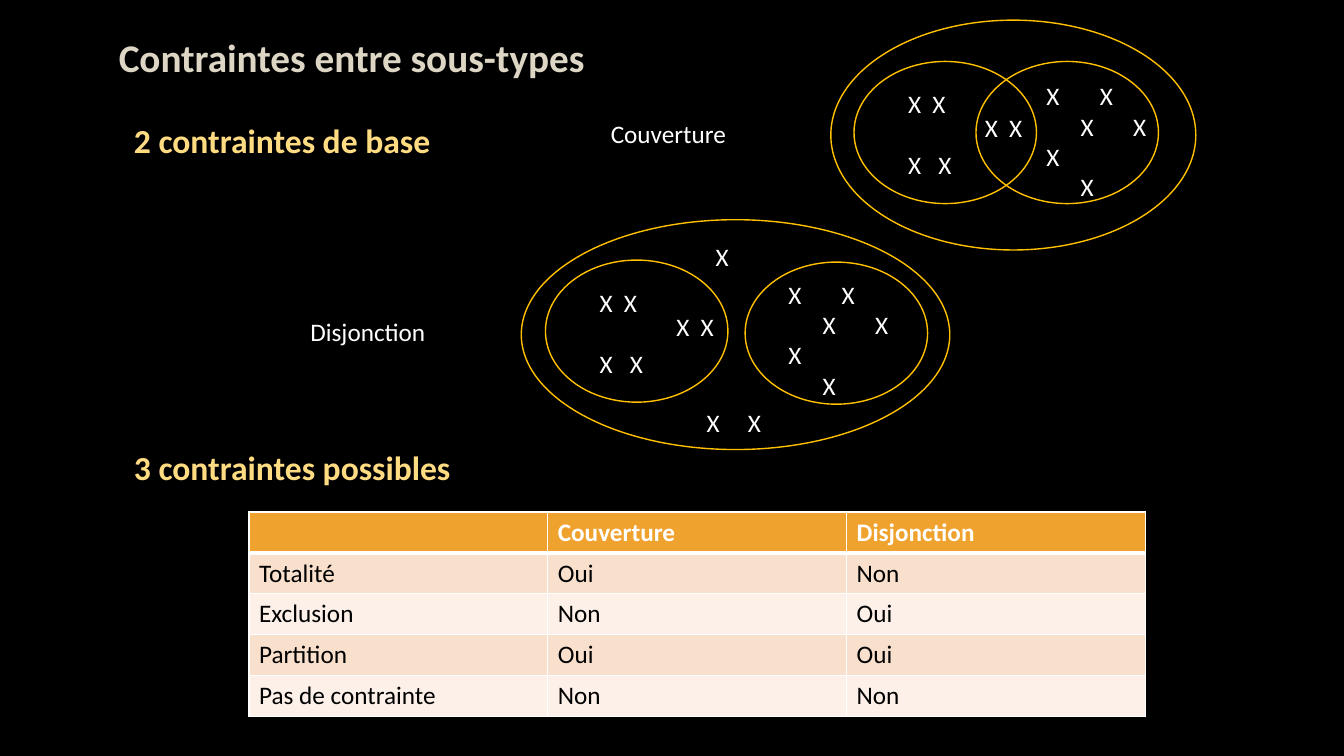
import pptx
import pptx.util
import pptx.dml.color
import pptx.enum.shapes
import pptx.enum.text
import pptx.oxml.ns
from lxml import etree

Inches, Pt = pptx.util.Inches, pptx.util.Pt
FONT = "Calibri"
WHITE, BLACK, GOLD, PALE_GOLD, SAND = "FFFFFF", "000000", "FFC000", "FFDB82", "DDD6C4"
HEADER_FILL, BAND_FILLS = "F0A22E", ("F9E0CD", "FCF0E8")

# Content: text, place, format
LABELS = [
    ("Contraintes entre sous-types", (1.08, 0.37, 9.76, 0.5),
     dict(size=28, color=SAND, bold=True, line_spacing=0.8, before=10)),
    ("2 contraintes de base", (1.23, 1.14, 4.09, 0.5), dict(size=24, color=PALE_GOLD, bold=True)),
    ("3 contraintes possibles", (1.23, 4.38, 4.09, 0.5), dict(size=24, color=PALE_GOLD, bold=True)),
    ("Disjonction", (2.98, 3.09, 1.39, 0.4), dict(wrap=False)),
    ("Couverture", (5.96, 1.12, 1.37, 0.4), dict(wrap=False)),
]

# Sets: outer ellipse, left and right subsets, marks of the right subset
DIAGRAMS = [
    dict(outer=(8.24, 0.2, 3.62, 2.28), left=(8.47, 0.61), right=(9.68, 0.61), right_marks=(10.28, 0.75)),
    dict(outer=(5.17, 2.18, 4.25, 2.28), left=(5.41, 2.58), right=(7.39, 2.6), right_marks=(7.72, 2.72)),
]
SUBSET_SIZE = (1.81, 1.41)

# Mark groups: text, tab stops of each line
FOUR_MARKS = [("X\tX", [0.24]), ("X\tX", [0.3])]
PAIR = [("X\tX", [0.24])]
SIX_MARKS = [("X\tX", [0.53]), ("\tX\tX", [0.34, 0.86]), ("X", []), ("\tX", [0.34])]
OUTSIDE_MARKS = [
    ([("X", [])], (7, 2.34, 0.49, 0.42)),
    ([("X\tX", [0.41])], (6.91, 3.99, 0.93, 0.4)),
]

TABLE_PLACE = (2.47, 5.08, 8.89, 2.03)
TABLE = [
    ("", "Couverture", "Disjonction"),
    ("Totalité", "Oui", "Non"),
    ("Exclusion", "Non", "Oui"),
    ("Partition", "Oui", "Oui"),
    ("Pas de contrainte", "Non", "Non"),
]


def rgb(value):
    return pptx.dml.color.RGBColor.from_string(value)


def inches(place):
    return [Inches(length) for length in place]


def write(frame, lines, size=18, color=WHITE, bold=False, wrap=True, line_spacing=None, before=0, gap=0):
    """Fill a text frame with (text, tab stops) lines; gap is the space between lines."""
    frame.word_wrap = wrap
    for index, (text, stops) in enumerate(lines):
        para = frame.add_paragraph() if index else frame.paragraphs[0]
        para.space_before = Pt(gap if index else before)
        if line_spacing:
            para.line_spacing = line_spacing
        if stops:
            tabs = etree.SubElement(para._p.get_or_add_pPr(), pptx.oxml.ns.qn("a:tabLst"))
            for stop in stops:
                etree.SubElement(tabs, pptx.oxml.ns.qn("a:tab"), pos=str(Inches(stop)), algn="l")
        span = para.add_run()
        span.text = text
        span.font.name, span.font.size, span.font.bold = FONT, Pt(size), bold
        span.font.color.rgb = rgb(color)


def add_text(page, place, lines, **style):
    box = page.shapes.add_textbox(*inches(place))
    write(box.text_frame, lines, **style)


def add_ellipse(page, place):
    ellipse = page.shapes.add_shape(pptx.enum.shapes.MSO_SHAPE.OVAL, *inches(place))
    ellipse.shadow.inherit = False
    ellipse.fill.background()
    ellipse.line.color.rgb = rgb(GOLD)
    ellipse.line.width = Pt(1)


def add_borders(cell, bottom):
    properties = cell._tc.get_or_add_tcPr()
    for index, (side, width) in enumerate([("L", 1), ("R", 1), ("T", 1), ("B", bottom)]):
        line = etree.Element(pptx.oxml.ns.qn("a:ln" + side), w=str(Pt(width)))
        fill = etree.SubElement(line, pptx.oxml.ns.qn("a:solidFill"))
        etree.SubElement(fill, pptx.oxml.ns.qn("a:srgbClr"), val=WHITE)
        properties.insert(index, line)


def main():
    deck = pptx.Presentation()
    deck.slide_width, deck.slide_height = Inches(13.33), Inches(7.5)
    page = deck.slides.add_slide(deck.slide_layouts[6])
    page.background.fill.solid()
    page.background.fill.fore_color.rgb = rgb(BLACK)

    # Headings and labels
    for text, place, style in LABELS:
        add_text(page, place, [(text, [])], **style)

    # Set diagrams
    for diagram in DIAGRAMS:
        left, top = diagram["left"]
        add_ellipse(page, diagram["outer"])
        add_ellipse(page, diagram["left"] + SUBSET_SIZE)
        add_ellipse(page, diagram["right"] + SUBSET_SIZE)
        add_text(page, (left + 0.44, top + 0.22, 0.74, 1.01), FOUR_MARKS, gap=22)
        add_text(page, (left + 1.2, top + 0.46, 0.61, 0.4), PAIR)
        add_text(page, diagram["right_marks"] + (1.21, 1.31), SIX_MARKS)
    for lines, place in OUTSIDE_MARKS:
        add_text(page, place, lines)

    # Table of constraints
    table = page.shapes.add_table(len(TABLE), len(TABLE[0]), *inches(TABLE_PLACE)).table
    for row, texts in enumerate(TABLE):
        header = row == 0
        for column, text in enumerate(texts):
            cell = table.cell(row, column)
            cell.fill.solid()
            cell.fill.fore_color.rgb = rgb(HEADER_FILL if header else BAND_FILLS[(row - 1) % 2])
            add_borders(cell, 3 if header else 1)
            write(cell.text_frame, [(text, [])], color=WHITE if header else BLACK, bold=header)

    deck.save("out.pptx")


if __name__ == "__main__":
    main()
